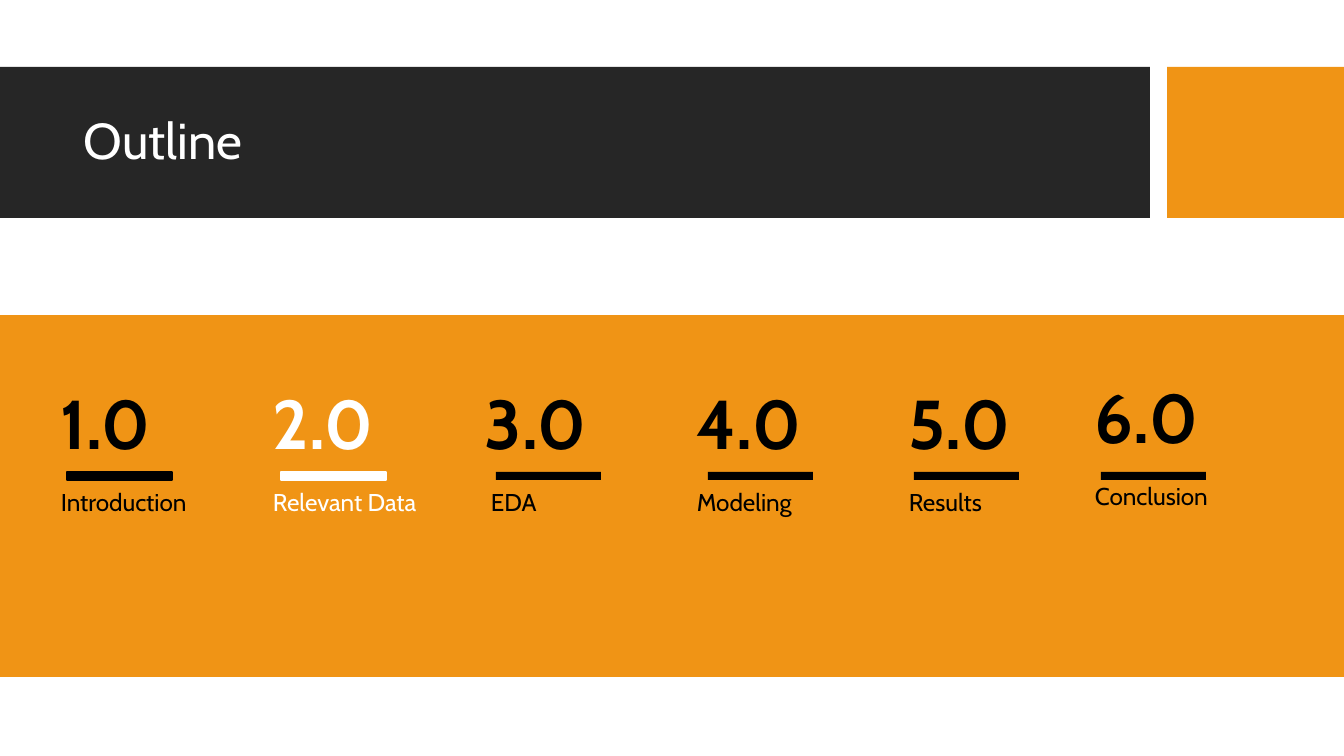
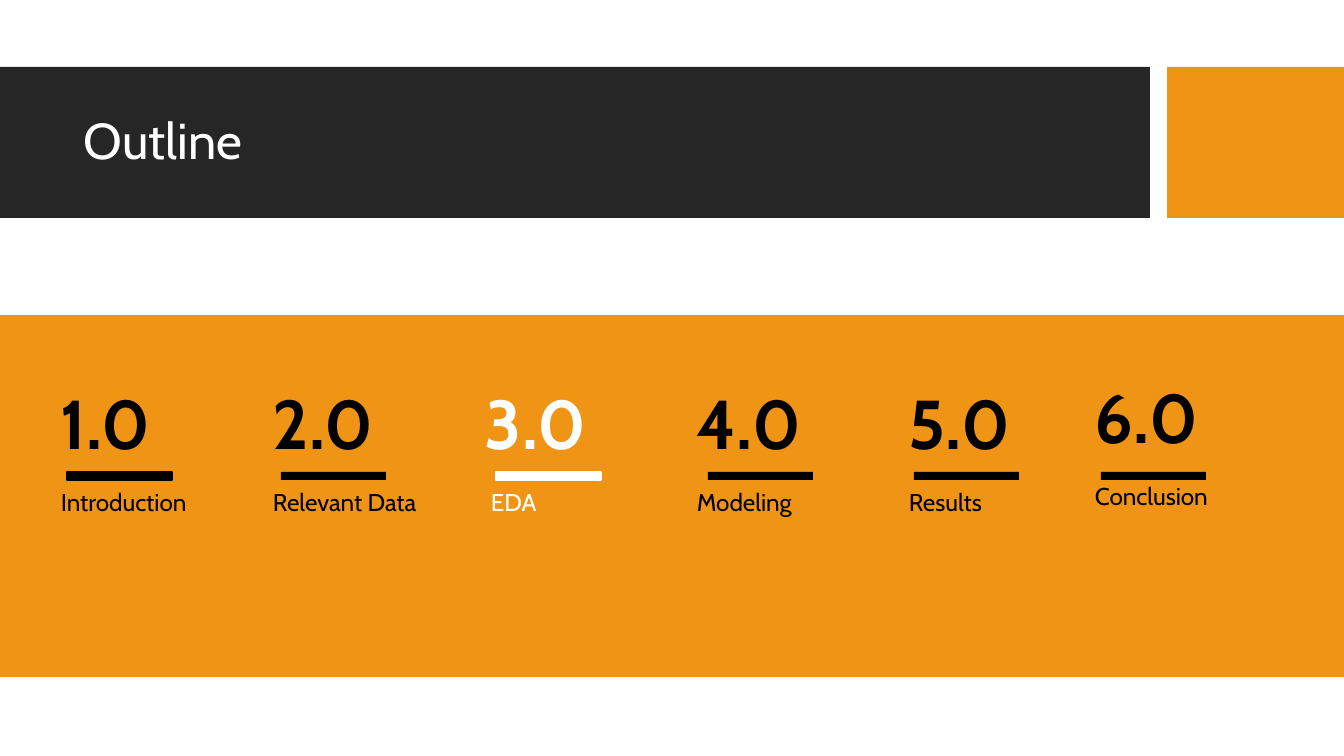
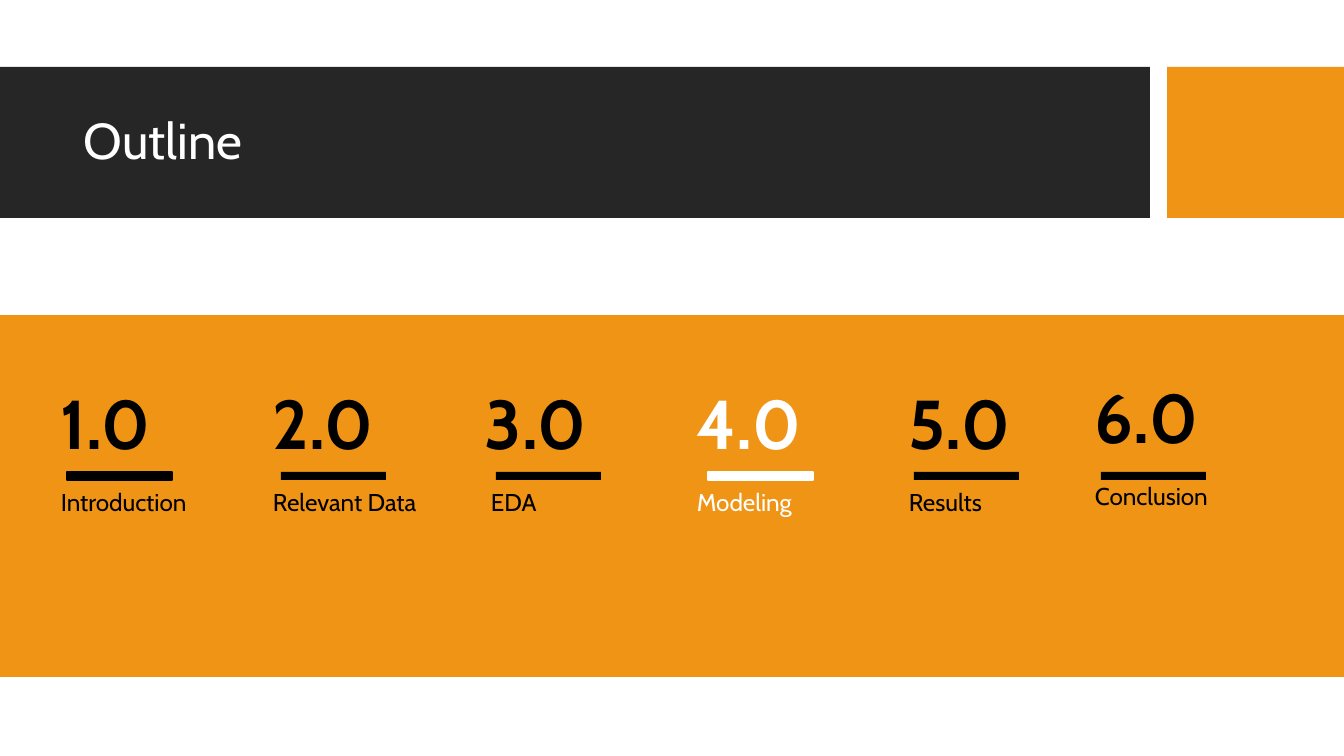
from collections import namedtuple
from dataclasses import dataclass

from pptx import Presentation
from pptx.dml.color import RGBColor
from pptx.enum.shapes import MSO_SHAPE
from pptx.enum.text import MSO_ANCHOR, MSO_AUTO_SIZE, PP_ALIGN
from pptx.util import Emu, Pt

Box = namedtuple("Box", "x y w h")
Section = namedtuple("Section", "number name rule_x indent")


@dataclass(frozen=True)
class Theme:
    font: str = "Cabin"
    dark: str = "262626"
    accent: str = "F09415"
    text: str = "000000"
    active: str = "FFFFFF"
    title_size: int = 27
    number_size: int = 37
    name_size: int = 13
    outline: float = 0.75
    line_spacing: float = 0.9


THEME = Theme()
SLIDE = Box(0, 0, 1344, 756)
HEADER = Box(0, 67, 1344, 151)
PANEL = Box(0, 316, 1344, 360)
COLUMN_W, ROW_H, ROWS = 212, 56, 3
CELL_INSET = 13
RULE_Y, RULE_W, RULE_H = 156, 105, 8
NO_STYLE_NO_GRID = "{2D5ABB26-0587-4C30-8999-92F81FD0307C}"

SECTIONS = [
    Section("1.0", "Introduction", 67, 0),
    Section("2.0", "Relevant Data", 281, 0),
    Section("3.0", "EDA", 496, 6),
    Section("4.0", "Modeling", 708, 0),
    Section("5.0", "Results", 914, 0),
    Section("6.0", "Conclusion", 1101, 0),
]
ACTIVE_NUMBERS = ["2.0", "3.0", "4.0"]


def px(n):
    return Emu(round(n * 914400 / 134.4))


def place(box):
    return [px(n) for n in box]


def add_rect(s, box, color, outlined=False):
    sp = s.shapes.add_shape(MSO_SHAPE.RECTANGLE, *place(box))
    sp.shadow.inherit = False
    sp.fill.solid()
    sp.fill.fore_color.rgb = RGBColor.from_string(color)
    if outlined:
        sp.line.color.rgb = RGBColor.from_string(color)
        sp.line.width = Pt(THEME.outline)
    else:
        sp.line.fill.background()
    return sp


def write(tf, text, size, color, bold=False):
    p = tf.paragraphs[0]
    p.alignment = PP_ALIGN.LEFT
    p.line_spacing = THEME.line_spacing
    p.space_before = Pt(0)
    r = p.add_run()
    r.text = text
    r.font.name = THEME.font
    r.font.size = Pt(size)
    r.font.bold = bold
    r.font.color.rgb = RGBColor.from_string(color)


def add_bands_to_layout(layout, s, box):
    """Draw the bands on a slide, then move them behind the layout's placeholders."""
    bands = [
        add_rect(s, Box(box.x, box.y, 1150, box.h), THEME.dark),
        add_rect(s, Box(box.x + 1167, box.y, box.w - 1167, box.h), THEME.accent),
    ]
    for i, band in enumerate(bands):
        band.element.nvSpPr.cNvPr.set("id", str(101 + i))
        layout.shapes.element.insert(2 + i, band.element)


def set_title(s, text, box):
    title = s.shapes.title
    title.left, title.top, title.width, title.height = place(
        Box(box.x + 75, box.y + 16, 1060, 120))
    tf = title.text_frame
    tf.word_wrap = True
    tf.auto_size = MSO_AUTO_SIZE.NONE
    tf.vertical_anchor = MSO_ANCHOR.MIDDLE
    tf.margin_left = tf.margin_right = px(9)
    tf.margin_top = tf.margin_bottom = px(5)
    write(tf, text, THEME.title_size, THEME.active)


def section_color(section, active):
    return THEME.active if section.number == active else THEME.text


def add_section_table(s, sections, x, y, active):
    box = Box(x, y, COLUMN_W * len(sections), ROW_H * ROWS)
    table = s.shapes.add_table(ROWS, len(sections), *place(box)).table
    table.first_row = table.horz_banding = False
    table._tbl.tblPr[0].text = NO_STYLE_NO_GRID
    for column in table.columns:
        column.width = px(COLUMN_W)
    for row in table.rows:
        row.height = px(ROW_H)
    for cell in table.iter_cells():
        cell.fill.background()
        cell.margin_left = cell.margin_right = px(CELL_INSET)
        cell.margin_top = cell.margin_bottom = px(CELL_INSET)
    for col, section in enumerate(sections):
        color = section_color(section, active)
        number, name = table.cell(0, col), table.cell(1, col)
        name.margin_left = px(CELL_INSET + section.indent)
        write(number.text_frame, section.number, THEME.number_size, color, bold=True)
        write(name.text_frame, section.name, THEME.name_size, color)


def add_outline_panel(s, box, active):
    add_rect(s, box, THEME.accent, outlined=True)
    add_section_table(s, SECTIONS[:5], box.x + 48, box.y + 60, active)
    add_section_table(s, SECTIONS[5:], box.x + 1082, box.y + 54, active)
    for section in SECTIONS:
        rule = Box(box.x + section.rule_x, box.y + RULE_Y, RULE_W, RULE_H)
        outlined = section.number in (SECTIONS[0].number, active)
        add_rect(s, rule, section_color(section, active), outlined)


def main():
    prs = Presentation()
    prs.slide_width, prs.slide_height = px(SLIDE.w), px(SLIDE.h)
    layout = prs.slide_layouts.get_by_name("Title Only")
    for i, active in enumerate(ACTIVE_NUMBERS):
        s = prs.slides.add_slide(layout)
        if i == 0:
            add_bands_to_layout(layout, s, HEADER)
        set_title(s, "Outline", HEADER)
        add_outline_panel(s, PANEL, active)
    prs.save("out.pptx")


if __name__ == "__main__":
    main()
